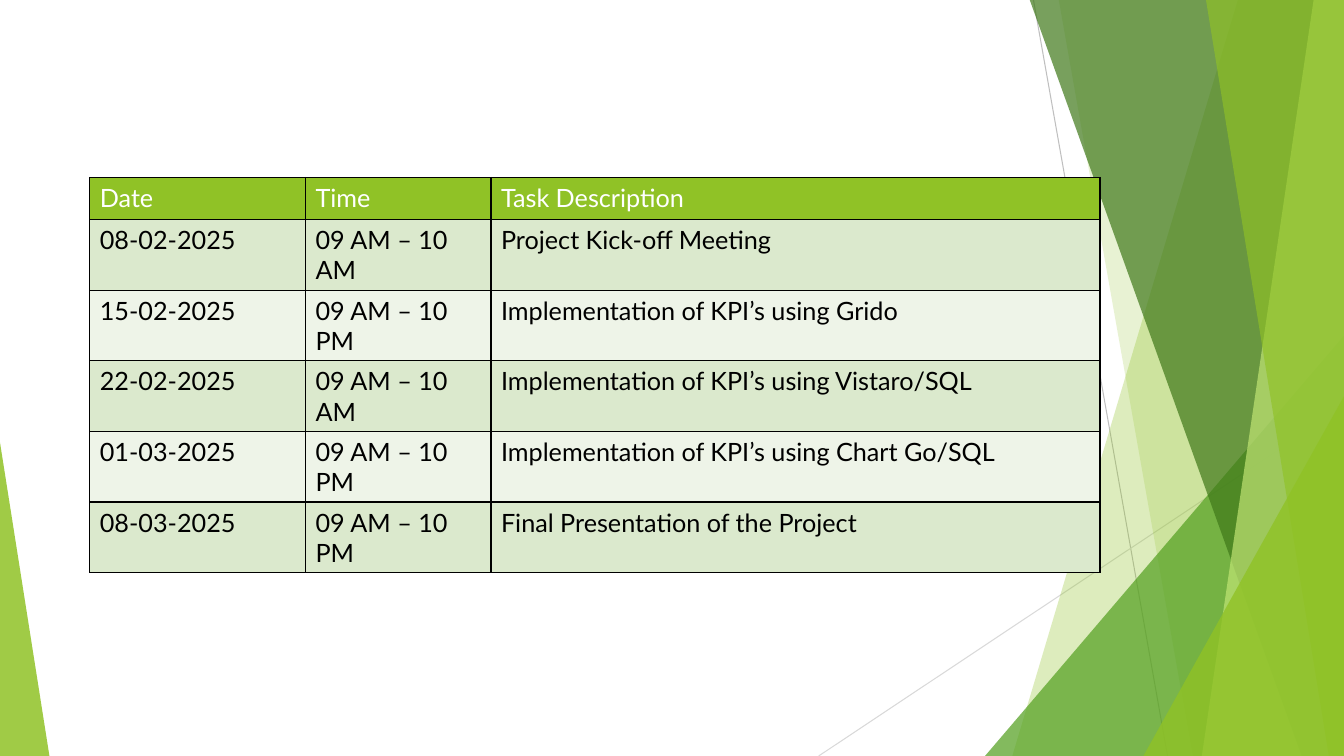
from lxml import etree
from pptx import Presentation
from pptx.dml.color import RGBColor
from pptx.enum.shapes import MSO_CONNECTOR, MSO_SHAPE
from pptx.oxml import parse_xml
from pptx.oxml.ns import nsdecls, qn
from pptx.util import Inches, Pt

COLORS = {
    "lime": "90C226", "pale_lime": "C0E474", "green": "54A021", "forest": "3F7819",
    "band_dark": "DBE9CD", "band_light": "EEF4E8",
    "gray": "BFBFBF", "light_gray": "D9D9D9", "white": "FFFFFF", "black": "000000",
}
FONT = "Lato"
WIDTH, HEIGHT = 13.33, 7.5
TOP = -0.01

SCHEDULE = [
    ("Date", "Time", "Task Description"),
    ("08-02-2025", "09 AM – 10 AM", "Project Kick-off Meeting"),
    ("15-02-2025", "09 AM – 10 PM", "Implementation of KPI’s using Grido"),
    ("22-02-2025", "09 AM – 10 AM", "Implementation of KPI’s using Vistaro/SQL"),
    ("01-03-2025", "09 AM – 10 PM", "Implementation of KPI’s using Chart Go/SQL"),
    ("08-03-2025", "09 AM – 10 PM", "Final Presentation of the Project"),
]
COLUMN_WIDTHS = [2.14, 1.84, 6.04]
HEADER_HEIGHT, ROW_HEIGHT = 0.42, 0.7


def rgb(name):
    return RGBColor.from_string(COLORS[name])


def paint(shape, color, opacity):
    """Fill a shape with a see-through colour, without outline or shadow."""
    shape.shadow.inherit = False
    shape.line.fill.background()
    shape.fill.solid()
    shape.fill.fore_color.rgb = rgb(color)
    color_node = shape.fill._xPr.find(qn("a:solidFill"))[0]
    etree.SubElement(color_node, qn("a:alpha"), val=str(opacity * 1000))


def add_line(page, start, end, color):
    line = page.shapes.add_connector(
        MSO_CONNECTOR.STRAIGHT, *(Inches(value) for value in start + end))
    line.line.color.rgb = rgb(color)
    line.line.width = Pt(0.75)
    etree.SubElement(line._element.spPr, qn("a:effectLst"))


def add_ribbon(page, top_left, bottom_left, color, opacity):
    """Add a full-height panel with a slanted left side, up to the right edge."""
    corners = [(top_left, TOP), (WIDTH, TOP), (WIDTH, HEIGHT), (bottom_left, HEIGHT)]
    points = [(Inches(x), Inches(y)) for x, y in corners]
    builder = page.shapes.build_freeform(*points[0])
    builder.add_line_segments(points[1:], close=True)
    paint(builder.convert_to_shape(), color, opacity)


def add_corner(page, left, top, width, apex, color, opacity):
    """Add a triangle on the bottom edge; apex is 0 for left, 1 for right."""
    corner = page.shapes.add_shape(
        MSO_SHAPE.ISOSCELES_TRIANGLE, Inches(left), Inches(top),
        Inches(width), Inches(HEIGHT - top))
    corner.adjustments[0] = apex
    paint(corner, color, opacity)


def add_borders(cell):
    properties = cell._tc.get_or_add_tcPr()
    for side in ("lnL", "lnR", "lnT", "lnB"):
        properties.append(parse_xml(
            f'<a:{side} {nsdecls("a")} w="{Pt(1)}"><a:solidFill>'
            f'<a:srgbClr val="{COLORS["black"]}"/></a:solidFill></a:{side}>'))


def fill_cell(cell, text, fill, font_color):
    add_borders(cell)
    cell.fill.solid()
    cell.fill.fore_color.rgb = rgb(fill)
    cell.text = text
    font = cell.text_frame.paragraphs[0].font
    font.name = FONT
    font.size = Pt(18)
    font.bold = False
    font.color.rgb = rgb(font_color)


def add_schedule(page, left, top):
    height = HEADER_HEIGHT + ROW_HEIGHT * (len(SCHEDULE) - 1)
    table = page.shapes.add_table(
        len(SCHEDULE), len(COLUMN_WIDTHS), Inches(left), Inches(top),
        Inches(sum(COLUMN_WIDTHS)), Inches(height)).table
    for column, width in zip(table.columns, COLUMN_WIDTHS):
        column.width = Inches(width)
    for index, texts in enumerate(SCHEDULE):
        is_header = index == 0
        band = "band_dark" if index % 2 else "band_light"
        table.rows[index].height = Inches(HEADER_HEIGHT if is_header else ROW_HEIGHT)
        for cell, text in zip(table.rows[index].cells, texts):
            fill_cell(cell, text, "lime" if is_header else band,
                      "white" if is_header else "black")


def main():
    deck = Presentation()
    deck.slide_width, deck.slide_height = Inches(WIDTH), Inches(HEIGHT)
    page = deck.slides.add_slide(deck.slide_layouts[6])

    add_line(page, (10.25, 0), (11.58, HEIGHT), "gray")
    add_line(page, (WIDTH, 4.03), (8.12, HEIGHT), "light_gray")
    add_ribbon(page, 12.28, 10.04, "lime", 30)
    add_ribbon(page, 10.5, 11.83, "lime", 20)
    add_corner(page, 9.77, 3.33, 3.56, 1, "green", 72)
    add_ribbon(page, 10.21, 12.91, "forest", 70)
    add_ribbon(page, 13.03, 11.92, "pale_lime", 70)
    add_ribbon(page, 11.96, 13.18, "lime", 65)
    add_corner(page, 11.34, 3.93, 1.99, 1, "lime", 80)
    add_corner(page, 0, 4.39, 0.49, 0, "lime", 85)
    add_schedule(page, 0.89, 1.76)

    deck.save("out.pptx")


if __name__ == "__main__":
    main()
